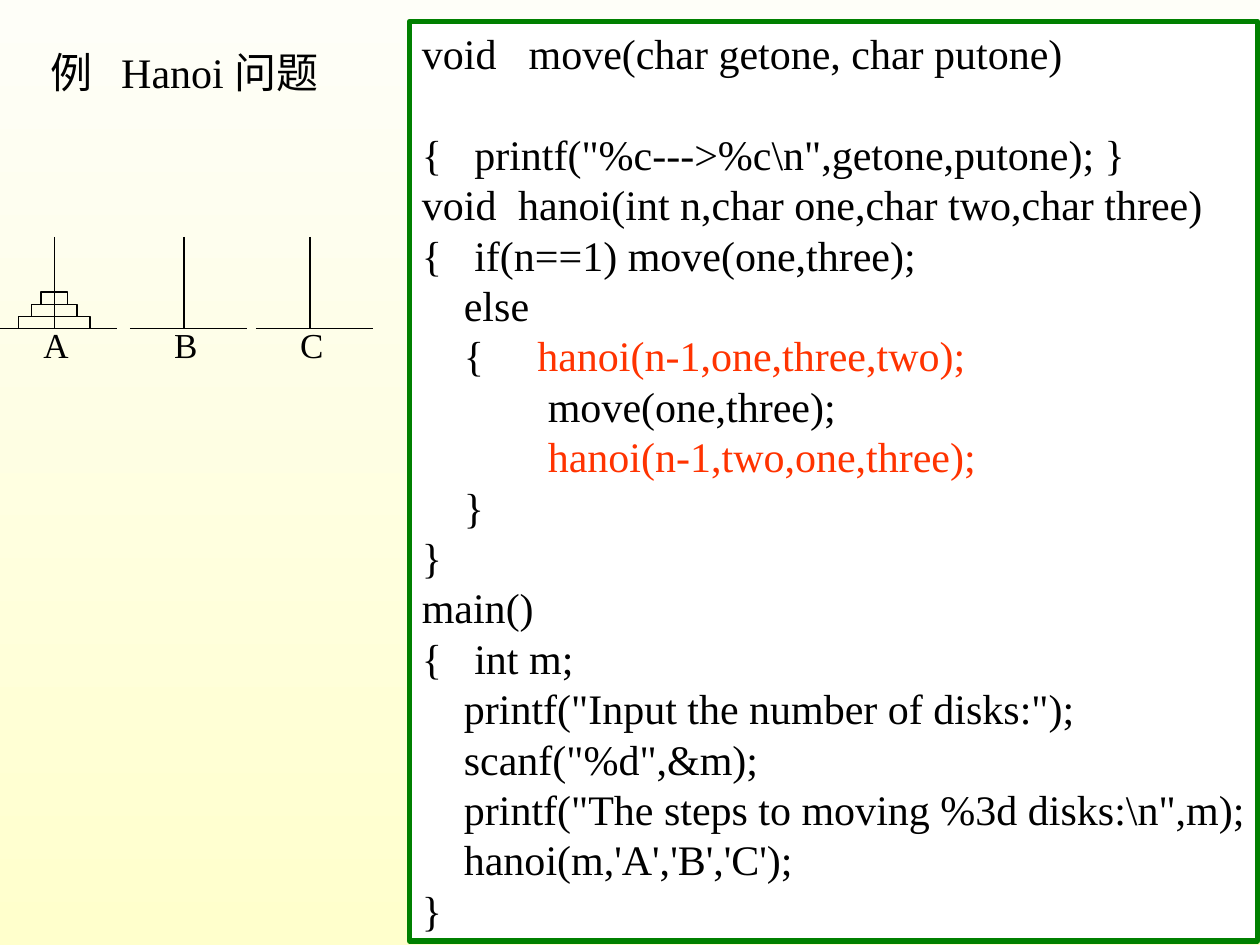
from lxml import etree
from pptx import Presentation
from pptx.dml.color import RGBColor
from pptx.enum.shapes import MSO_CONNECTOR, MSO_SHAPE
from pptx.enum.text import MSO_ANCHOR, PP_ALIGN
from pptx.oxml.ns import qn
from pptx.util import Pt

LINE = MSO_CONNECTOR.STRAIGHT
RECT = MSO_SHAPE.RECTANGLE
TOP, MID = MSO_ANCHOR.TOP, MSO_ANCHOR.MIDDLE
LEFT, MIDDLE = PP_ALIGN.LEFT, PP_ALIGN.CENTER
FONT = "Times New Roman"
HEX = {"ink": "000000", "call": "FF3300", "edge": "008000",
       "paper": "FFFFFF", "pale": "FEFEF8", "cream": "FFFFCC"}
STEP = 28.8
CODE = [
    (61, 0, "void\tmove(char getone, char putone)", "ink"),
    (30, 0, r'{|printf("%c--->%c\n",getone,putone); }', "ink"),
    (55, 0, "void\thanoi(int n,char one,char two,char three)", "ink"),
    (30, 0, "{|if(n==1) move(one,three);", "ink"),
    (24, 24, "else", "ink"),
    (66, 24, "{|hanoi(n-1,one,three,two);", "call"),
    (72, 72, "move(one,three);", "ink"),
    (72, 72, "hanoi(n-1,two,one,three);", "call"),
    (24, 24, "}", "ink"),
    (0, 0, "}", "ink"),
    (0, 0, "main()", "ink"),
    (30, 0, "{|int m;", "ink"),
    (24, 24, 'printf("Input the number of disks:");', "ink"),
    (24, 24, 'scanf("%d",&m);', "ink"),
    (24, 24, r'printf("The steps to moving %3d disks:\n",m);', "ink"),
    (24, 24, "hanoi(m,'A','B','C');", "ink"),
    (0, 0, "}", "ink"),
]


def color(name):
    """Return the named colour."""
    return RGBColor.from_string(HEX[name])


def assign(item, **values):
    """Set each given attribute on the item."""
    for name, value in values.items():
        setattr(item, name, value)


def write(para, text, size, tone="ink"):
    """Add one styled run to the paragraph."""
    run = para.add_run()
    assign(run, text=text)
    assign(run.font, name=FONT, size=Pt(size))
    run.font.color.rgb = color(tone)


def hang(para, body, first):
    """Indent the body of a line and start it at first."""
    props = para._p.get_or_add_pPr()
    props.set("marL", str(Pt(body)))
    props.set("indent", str(Pt(first - body)))
    assign(para, line_spacing=Pt(STEP), alignment=LEFT)


def frame(shape, side=7.2, edge=3.6, anchor=TOP):
    """Prepare the text frame of a shape."""
    area = shape.text_frame
    assign(area, word_wrap=True, vertical_anchor=anchor,
           margin_left=Pt(side), margin_right=0,
           margin_top=Pt(edge), margin_bottom=Pt(edge))
    return area


def rule(shapes, *ends):
    """Draw a thin straight line between two points."""
    line = shapes.add_connector(LINE, *map(Pt, ends))
    line.line.width = Pt(0.75)
    line.line.color.rgb = color("ink")
    etree.SubElement(line._element.spPr, qn("a:effectLst"))


def block(shapes, box, width, edge, fill=None):
    """Draw an outlined rectangle."""
    shape = shapes.add_shape(RECT, *map(Pt, box))
    shape.shadow.inherit = False
    if fill:
        shape.fill.solid()
        shape.fill.fore_color.rgb = color(fill)
    else:
        shape.fill.background()
    shape.line.width = Pt(width)
    shape.line.color.rgb = color(edge)
    return shape


def title(shapes, box):
    """Write the heading."""
    para = frame(shapes.add_textbox(*map(Pt, box))).paragraphs[0]
    hang(para, 40.6, 0)
    write(para, "例\tHanoi 问题", 24)


def code(shapes, box):
    """Write the program in a bordered panel."""
    area = frame(block(shapes, box, 3, "edge", "paper"))
    for row, (body, first, text, tone) in enumerate(CODE):
        para = area.paragraphs[0] if row == 0 else area.add_paragraph()
        hang(para, body, first)
        brace, mark, rest = text.partition("|")
        if mark:
            write(para, brace + "\t", 24)
        write(para, rest or brace, 24, tone)
    area.paragraphs[0].space_after = Pt(STEP)


def peg(shapes, box, name, disks=()):
    """Draw a peg with its base, label and disks."""
    left, top, width, high = box
    base, mid = top + high, left + 31
    rule(shapes, left, base, left + width, base)
    rule(shapes, mid, top, mid, base)
    label = shapes.add_textbox(*map(Pt, (mid - 13, base - 7, 28, 31.6)))
    para = frame(label, 0, 3.6, MID).paragraphs[0]
    para.alignment = MIDDLE
    write(para, name, 20)
    for row, size in enumerate(disks, 1):
        spot = (mid - size / 2, base - 7 * row, size, 7)
        block(shapes, spot, 0.75, "ink")


def main():
    """Build the slide and save it."""
    deck = Presentation()
    assign(deck, slide_width=Pt(720), slide_height=Pt(540))
    slide = deck.slides.add_slide(deck.slide_layouts[6])
    fill = slide.background.fill
    fill.gradient()
    fill.gradient_angle = 270
    for stop, tone in zip(fill.gradient_stops, ("pale", "cream")):
        stop.color.rgb = color(tone)
    title(slide.shapes, (21.6, 23, 176, 36))
    code(slide.shapes, (234, 12.2, 484.6, 525.6))
    for left, name, disks in ((0, "A", (41, 26, 15)), (74.2, "B", ()),
                              (146.2, "C", ())):
        group = slide.shapes.add_group_shape()
        peg(group.shapes, (left, 135.4, 67, 52.5), name, disks)
    deck.save("out.pptx")


if __name__ == "__main__":
    main()
